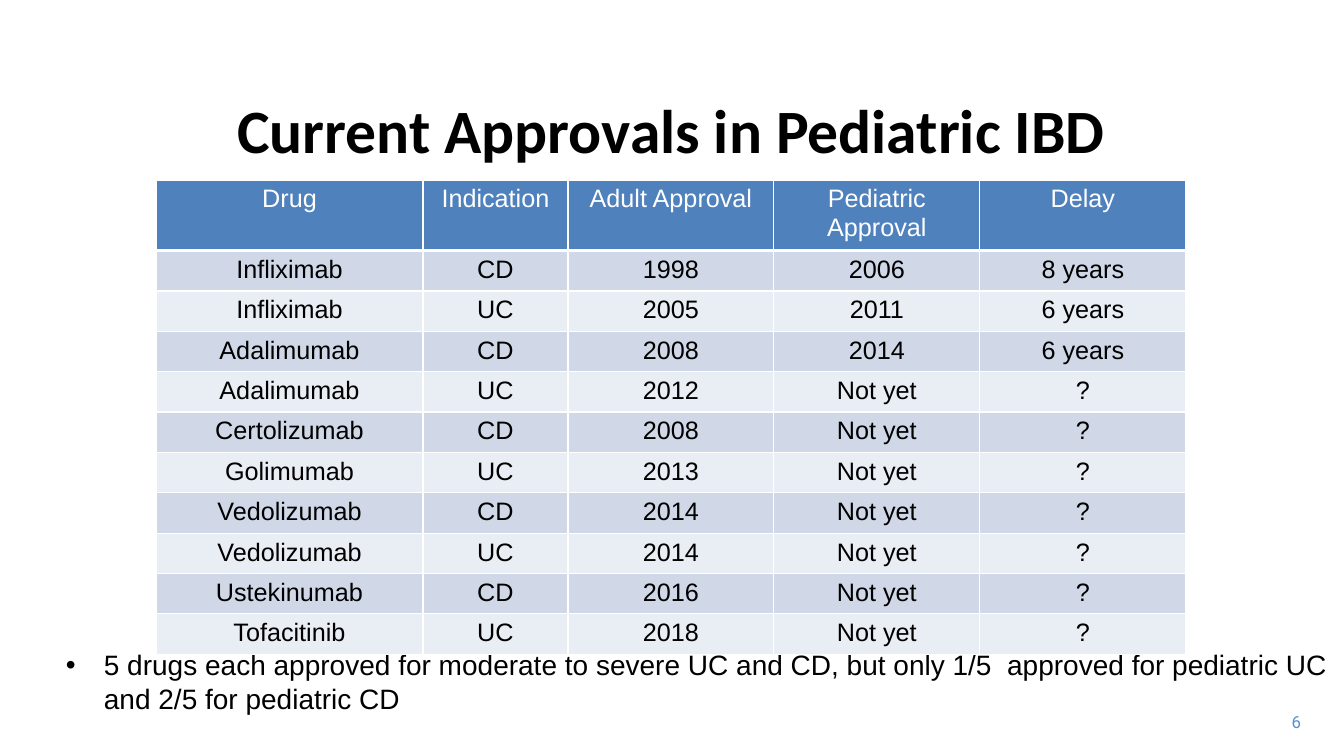
from lxml.etree import SubElement
from pptx import Presentation
from pptx.dml.color import RGBColor
from pptx.enum.text import MSO_ANCHOR as Anchor, PP_ALIGN as Align
from pptx.oxml.ns import qn
from pptx.util import Pt

PX = 914400 / 100.8
COLORS = {
    "black": "000000",
    "white": "FFFFFF",
    "header": "4F81BD",
    "odd": "D0D8E8",
    "even": "E9EDF4",
    "number": "558ED5",
}
HEADINGS = ["Drug", "Indication", "Adult Approval", "Pediatric Approval", "Delay"]
APPROVALS = [
    ["Infliximab", "CD", "1998", "2006", "8 years"],
    ["Infliximab", "UC", "2005", "2011", "6 years"],
    ["Adalimumab", "CD", "2008", "2014", "6 years"],
    ["Adalimumab", "UC", "2012", "Not yet", "?"],
    ["Certolizumab", "CD", "2008", "Not yet", "?"],
    ["Golimumab", "UC", "2013", "Not yet", "?"],
    ["Vedolizumab", "CD", "2014", "Not yet", "?"],
    ["Vedolizumab", "UC", "2014", "Not yet", "?"],
    ["Ustekinumab", "CD", "2016", "Not yet", "?"],
    ["Tofacitinib", "UC", "2018", "Not yet", "?"],
]


def px(length):
    return round(length * PX)


class SlideBuilder:
    def __init__(self, slide):
        self.slide = slide
        self.font = {"name": "Arial", "size": Pt(18), "bold": False}

    def fill_text(self, frame, text, color="black", align=Align.LEFT, **font):
        paragraph = frame.paragraphs[0]
        paragraph.alignment = align
        run = paragraph.add_run()
        run.text = text
        for name, value in {**self.font, **font}.items():
            setattr(run.font, name, value)
        run.font.color.rgb = RGBColor.from_string(COLORS[color])
        return paragraph

    def text(self, box, text, wrap=True, anchor=Anchor.TOP, **style):
        frame = self.slide.shapes.add_textbox(*map(px, box)).text_frame
        for name, value in {"word_wrap": wrap, "vertical_anchor": anchor}.items():
            setattr(frame, name, value)
        return self.fill_text(frame, text, **style)

    def bullet(self, box, text, indent, **style):
        properties = self.text(box, text, **style)._p.get_or_add_pPr()
        properties.set("marL", str(px(indent)))
        properties.set("indent", str(-px(indent)))
        SubElement(properties, qn("a:buFont"), typeface="Arial")
        SubElement(properties, qn("a:buChar"), char="•")

    def borders(self, cell, bottom):
        properties = cell._tc.get_or_add_tcPr()
        for side, width in {"lnL": 1, "lnR": 1, "lnT": 1, "lnB": bottom}.items():
            line = SubElement(properties, qn(f"a:{side}"), w=str(Pt(width)))
            fill = SubElement(line, qn("a:solidFill"))
            SubElement(fill, qn("a:srgbClr"), val=COLORS["white"])

    def table(self, left, top, widths, heights, rows):
        box = (left, top, sum(widths), sum(heights))
        shape = self.slide.shapes.add_table(len(rows), len(widths), *map(px, box))
        table = shape.table
        table.horz_banding = False
        for column, width in zip(table.columns, widths):
            column.width = px(width)
        for index, (row, height, values) in enumerate(zip(table.rows, heights, rows)):
            row.height = px(height)
            header = index == 0
            fill = "header" if header else ("even", "odd")[index % 2]
            color = "white" if header else "black"
            for cell, value in zip(row.cells, values):
                self.borders(cell, 3 if header else 1)
                cell.fill.solid()
                cell.fill.fore_color.rgb = RGBColor.from_string(COLORS[fill])
                self.fill_text(cell.text_frame, value, color, Align.CENTER)


def main():
    presentation = Presentation()
    presentation.slide_width, presentation.slide_height = px(1344), px(756)
    builder = SlideBuilder(presentation.slides.add_slide(presentation.slide_layouts[6]))
    builder.text((1270, 707, 41, 30), "6", wrap=False, color="number",
                 align=Align.RIGHT, name="Roboto", size=Pt(12))
    builder.text((46, 78, 1251, 102), "Current Approvals in Pediatric IBD",
                 anchor=Anchor.MIDDLE, align=Align.CENTER,
                 name="Calibri", size=Pt(44), bold=True)
    builder.bullet((56, 643, 1288, 76),
                   "5 drugs each approved for moderate to severe UC and CD, but only 1/5  "
                   "approved for pediatric UC and 2/5 for pediatric CD",
                   indent=38, size=Pt(20))
    builder.table(156, 180, [267, 145] + [206] * 3,
                  [62] + [36] * len(APPROVALS), [HEADINGS] + APPROVALS)
    presentation.save("out.pptx")


if __name__ == "__main__":
    main()
